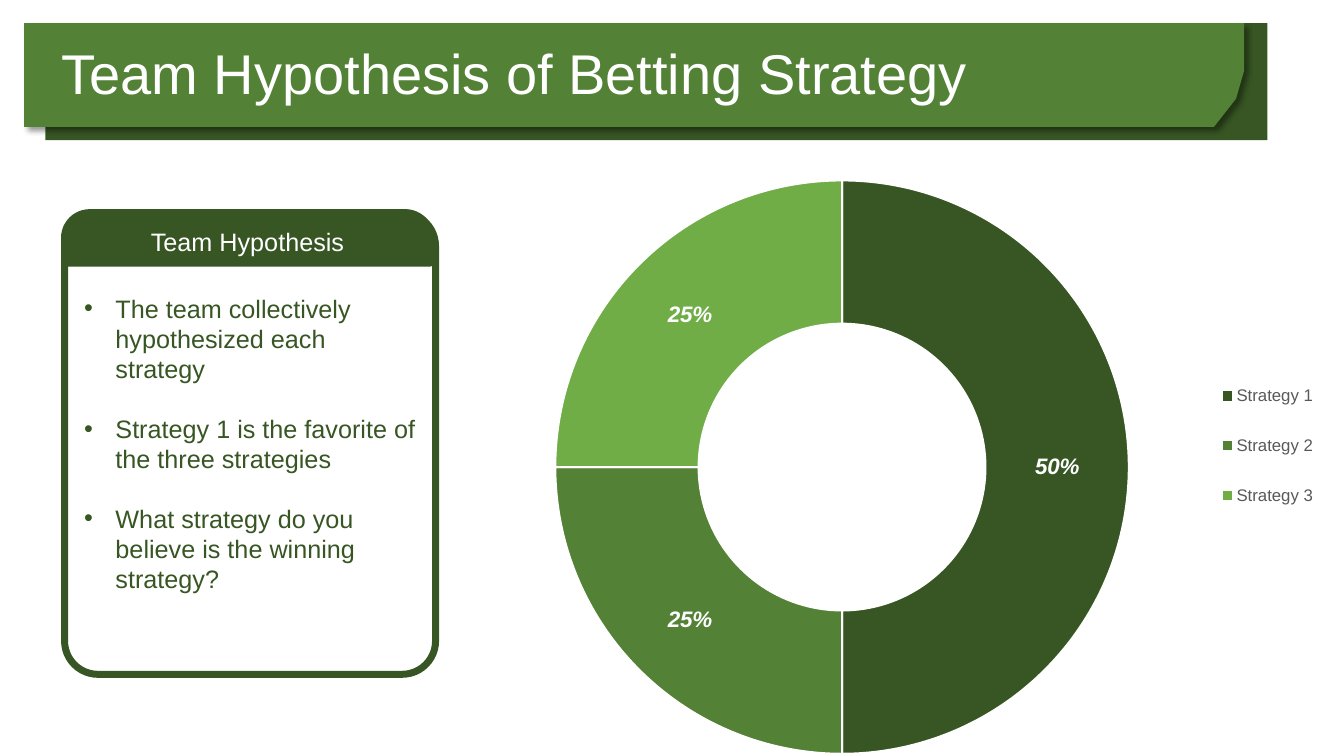
"""Build the betting strategy hypothesis slide with a doughnut chart."""
from lxml import etree
from pptx import Presentation
from pptx.chart.data import CategoryChartData
from pptx.dml.color import RGBColor
from pptx.enum.chart import XL_CHART_TYPE as CT, XL_LEGEND_POSITION as LP
from pptx.enum.shapes import MSO_SHAPE as SH
from pptx.enum.text import MSO_ANCHOR as ANC, MSO_AUTO_SIZE as FIT, PP_ALIGN as AL
from pptx.oxml import parse_xml
from pptx.oxml.ns import nsdecls, qn
from pptx.util import Inches, Pt

DARK, MID, LIGHT, WHITE = "375623", "538135", "70AD47", "FFFFFF"


def rgb(value):
    return RGBColor.from_string(value)


def style(font, size, color):
    font.name, font.size = "Arial", Pt(size)
    font.color.rgb = rgb(color)


prs = Presentation()
prs.slide_width, prs.slide_height = Inches(13.33), Inches(7.5)
s = prs.slides.add_slide(prs.slide_layouts[5])

back = s.shapes.add_shape(SH.RECTANGLE, Inches(0.45), Inches(0.23), Inches(12.12), Inches(1.16))
back.shadow.inherit = False
back.fill.solid()
back.fill.fore_color.rgb = rgb(DARK)
back.line.fill.background()

corners = [(12.34, 0.23), (12.34, 0.7), (12.26, 0.98), (12.04, 1.26), (0.24, 1.26)]
fb = s.shapes.build_freeform(Inches(0.24), Inches(0.23))
fb.add_line_segments([(Inches(x), Inches(y)) for x, y in corners])
banner = fb.convert_to_shape()
banner.fill.solid()
banner.fill.fore_color.rgb = rgb(MID)
banner.line.fill.background()
banner.shadow.inherit = False
banner._element.spPr.find(qn("a:effectLst")).append(parse_xml(
    f'<a:outerShdw {nsdecls("a")} blurRad="{Pt(4)}" dist="{Pt(3)}" dir="2700000" algn="tl" rotWithShape="0">'
    '<a:srgbClr val="000000"><a:alpha val="40000"/></a:srgbClr></a:outerShdw>'))

title = s.shapes.title
title.left, title.top, title.width, title.height = Inches(0.51), Inches(0.36), Inches(10.98), Inches(0.79)
s.shapes._spTree.append(title._element)
tf = title.text_frame
tf.text = "Team Hypothesis of Betting Strategy"
tf.auto_size, tf.vertical_anchor = FIT.NONE, ANC.MIDDLE
p = tf.paragraphs[0]
p.alignment, p.line_spacing, p.space_before = AL.LEFT, 0.9, Pt(10)
style(p.runs[0].font, 40, WHITE)

cd = CategoryChartData()
cd.categories = ["Strategy 1", "Strategy 2", "Strategy 3"]
cd.add_series("Series 1", (50, 25, 25))
chart = s.shapes.add_chart(CT.DOUGHNUT, Inches(4.44), Inches(1.66), Inches(8.89), Inches(6.01), cd).chart
chart.has_title = False
style(chart.font, 10, "000000")
chart.has_legend = True
legend = chart.legend
legend.position, legend.include_in_layout = LP.RIGHT, False
style(legend.font, 12, "595959")
plot = chart.plots[0]
plot.vary_by_categories = True
plot._element.find(qn("c:holeSize")).set("val", "50")
for i, color in enumerate((DARK, MID, LIGHT)):
    fmt = plot.series[0].points[i].format
    fmt.fill.solid()
    fmt.fill.fore_color.rgb = rgb(color)
    fmt.line.color.rgb = rgb(WHITE)
    fmt.line.width = Pt(1.5)
plot.has_data_labels = True
labels = plot.data_labels
labels.show_percentage, labels.show_value = True, False
labels.number_format, labels.number_format_is_linked = "0%", False
style(labels.font, 16, WHITE)
labels.font.bold = labels.font.italic = True

plot_area = chart._chartSpace.chart.plotArea
for old in plot_area.findall(qn("c:layout")):
    plot_area.remove(old)
for old in legend._element.findall(qn("c:layout")):
    legend._element.remove(old)
layouts = [(plot_area, 0, (0.12, 0.02, 0.64, 0.95)), (legend._element, 1, (0.84, 0.31, 0.15, 0.3))]
for parent, index, box in layouts:
    layout = etree.Element(qn("c:layout"))
    manual = etree.SubElement(layout, qn("c:manualLayout"))
    if parent is plot_area:
        etree.SubElement(manual, qn("c:layoutTarget")).set("val", "inner")
    for tag in ("xMode", "yMode"):
        etree.SubElement(manual, qn(f"c:{tag}")).set("val", "edge")
    for tag, value in zip("xywh", box):
        etree.SubElement(manual, qn(f"c:{tag}")).set("val", str(value))
    parent.insert(index, layout)

card = s.shapes.add_shape(SH.ROUNDED_RECTANGLE, Inches(0.64), Inches(2.11), Inches(3.68), Inches(4.58))
card.adjustments[0] = 0.09
header = s.shapes.add_shape(SH.ROUND_2_SAME_RECTANGLE, Inches(0.64), Inches(2.11), Inches(3.63), Inches(0.5))
header.adjustments[0] = 0.5
points = ["The team collectively hypothesized each strategy",
          "Strategy 1 is the favorite of the three strategies",
          "What strategy do you believe is the winning strategy?"]
for sp, fill, color, align, lines in ((card, WHITE, DARK, AL.LEFT, points),
                                      (header, DARK, WHITE, AL.CENTER, ["Team Hypothesis"])):
    sp.shadow.inherit = False
    sp.fill.solid()
    sp.fill.fore_color.rgb = rgb(fill)
    sp.line.color.rgb = rgb(DARK)
    sp.line.width = Pt(5)
    tf = sp.text_frame
    tf.text = "\n".join(lines)
    tf.word_wrap, tf.vertical_anchor = True, ANC.MIDDLE
    for p in tf.paragraphs:
        p.alignment = align
        style(p.runs[0].font, 18, color)

for i, p in enumerate(card.text_frame.paragraphs):
    p.space_before = Pt(21 if i else 0)
    pPr = p._p.get_or_add_pPr()
    pPr.set("marL", str(Inches(0.31)))
    pPr.set("indent", str(-Inches(0.31)))
    etree.SubElement(pPr, qn("a:buFont")).set("typeface", "Arial")
    etree.SubElement(pPr, qn("a:buChar")).set("char", "•")

prs.save("out.pptx")
